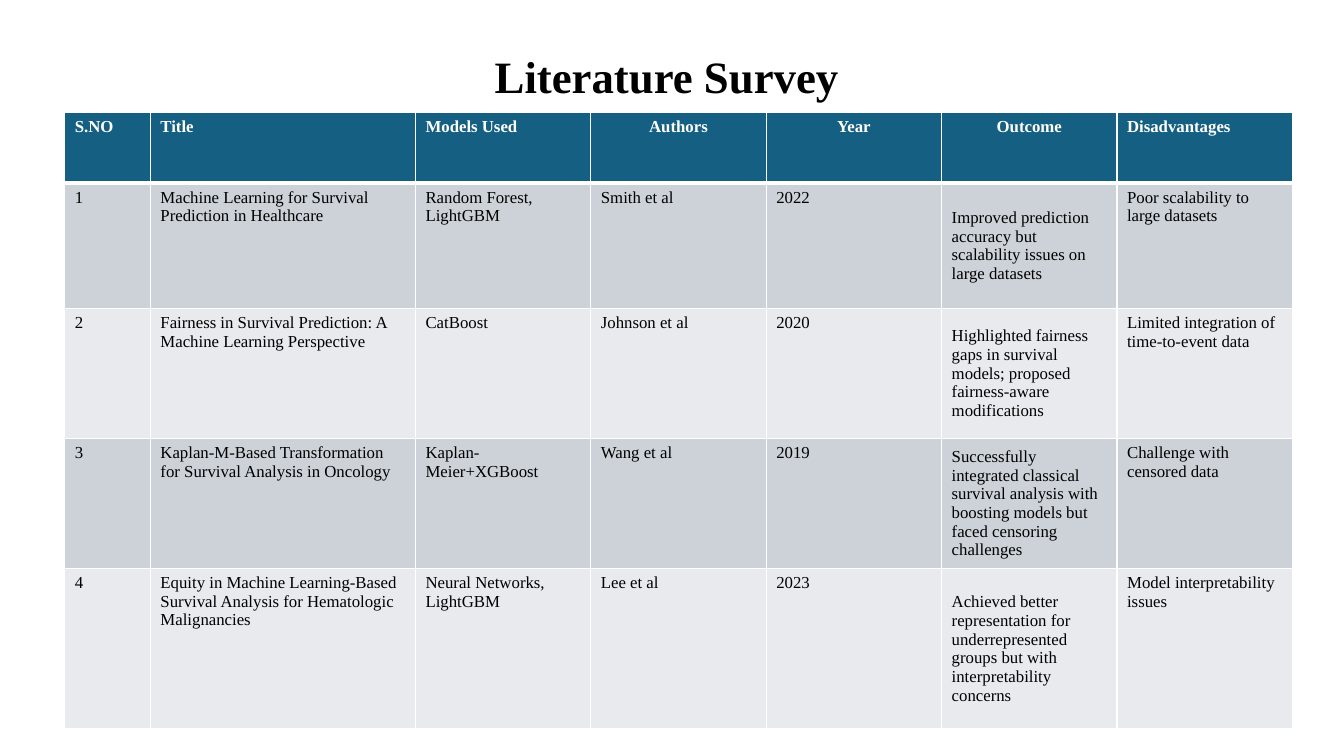
from dataclasses import dataclass

from lxml.etree import SubElement
from pptx import Presentation
from pptx.dml.color import RGBColor as Rgb
from pptx.enum.text import MSO_ANCHOR as Anchor, MSO_AUTO_SIZE as Fit, PP_ALIGN as Align
from pptx.oxml.ns import qn
from pptx.slide import Slide
from pptx.table import _Cell as Cell
from pptx.text.text import _Paragraph as Para
from pptx.util import Cm, Pt


@dataclass(frozen=True)
class Theme:
    face: str = "Times New Roman"
    ink: str = "000000"
    paper: str = "FFFFFF"
    head: str = "156082"
    bands: tuple[str, str] = ("CCD2D8", "E8EAED")
    title: int = 32
    body: int = 12


@dataclass(frozen=True)
class Field:
    name: str
    width: float
    align: Align = Align.LEFT
    anchor: Anchor = Anchor.TOP


@dataclass(frozen=True)
class Study:
    height: float
    title: str
    models: str
    authors: str
    year: str
    outcome: str
    flaw: str

    def texts(self, num: int) -> list[str]:
        return [str(num), self.title, self.models, self.authors,
                self.year, self.outcome, self.flaw]


THEME = Theme()
HEAD_HEIGHT = 1.78
EVEN = 4.42

FIELDS = [
    Field("S.NO", 2.16),
    Field("Title", 6.68),
    Field("Models Used", EVEN),
    Field("Authors", EVEN, Align.CENTER),
    Field("Year", EVEN, Align.CENTER),
    Field("Outcome", EVEN, Align.CENTER, Anchor.MIDDLE),
    Field("Disadvantages", EVEN),
]

STUDIES = [
    Study(3.15, "Machine Learning for Survival Prediction in Healthcare",
          "Random Forest, LightGBM", "Smith et al", "2022",
          "Improved prediction accuracy but scalability issues on large datasets",
          "Poor scalability to large datasets"),
    Study(3.28, "Fairness in Survival Prediction: A Machine Learning Perspective",
          "CatBoost", "Johnson et al", "2020",
          "Highlighted fairness gaps in survival models; proposed fairness-aware modifications",
          "Limited integration of time-to-event data"),
    Study(3.28, "Kaplan-M-Based Transformation for Survival Analysis in Oncology",
          "Kaplan-Meier+XGBoost", "Wang et al", "2019",
          "Successfully integrated classical survival analysis with boosting models "
          "but faced censoring challenges",
          "Challenge with censored data"),
    Study(4.04, "Equity in Machine Learning-Based Survival Analysis for Hematologic Malignancies",
          "Neural Networks, LightGBM", "Lee et al", "2023",
          "Achieved better representation for underrepresented groups "
          "but with interpretability concerns",
          "Model interpretability issues"),
]


def write(para: Para, text: str, size: int, color: str, bold: bool, align: Align) -> None:
    run = para.add_run()
    run.text = text
    para.alignment = align
    look = {"name": THEME.face, "size": Pt(size), "bold": bold}
    for key, value in look.items():
        setattr(run.font, key, value)
    run.font.color.rgb = Rgb.from_string(color)


def border(cell: Cell, top: int, bottom: int) -> None:
    """Line the four sides; top and bottom widths are in points."""
    props = cell._tc.get_or_add_tcPr()
    for side, width in {"L": 1, "R": 1, "T": top, "B": bottom}.items():
        line = SubElement(props, qn(f"a:ln{side}"), w=str(Pt(width)))
        fill = SubElement(line, qn("a:solidFill"))
        SubElement(fill, qn("a:srgbClr"), val=THEME.paper)


def paint(cell: Cell, color: str) -> None:
    cell.fill.solid()
    cell.fill.fore_color.rgb = Rgb.from_string(color)


def add_title(slide: Slide, text: str) -> None:
    title = slide.shapes.title
    place = {"left": 2.34, "top": 0.69, "width": 29.21, "height": 2.62}
    for key, value in place.items():
        setattr(title, key, Cm(value))
    frame = title.text_frame
    frame.auto_size = Fit.NONE
    frame.vertical_anchor = Anchor.MIDDLE
    para = frame.paragraphs[0]
    para.line_spacing = 0.9
    write(para, text, THEME.title, THEME.ink, True, Align.CENTER)


def add_survey(slide: Slide) -> None:
    heights = [HEAD_HEIGHT] + [study.height for study in STUDIES]
    widths = [field.width for field in FIELDS]
    table = slide.shapes.add_table(
        len(heights), len(widths), Cm(1.63), Cm(2.84),
        Cm(sum(widths)), Cm(sum(heights))).table
    for col, width in zip(table.columns, widths):
        col.width = Cm(width)
    for row, height in zip(table.rows, heights):
        row.height = Cm(height)

    for col, field in enumerate(FIELDS):
        cell = table.cell(0, col)
        border(cell, 1, 3)
        paint(cell, THEME.head)
        write(cell.text_frame.paragraphs[0], field.name, THEME.body,
              THEME.paper, True, field.align)

    for num, study in enumerate(STUDIES, 1):
        for col, text in enumerate(study.texts(num)):
            cell = table.cell(num, col)
            border(cell, 3 if num == 1 else 1, 1)
            paint(cell, THEME.bands[(num - 1) % 2])
            cell.vertical_anchor = FIELDS[col].anchor
            write(cell.text_frame.paragraphs[0], text, THEME.body,
                  THEME.ink, False, Align.LEFT)


def main() -> None:
    deck = Presentation()
    deck.slide_width, deck.slide_height = Cm(33.87), Cm(19.05)
    slide = deck.slides.add_slide(deck.slide_layouts.get_by_name("Title Only"))
    add_title(slide, "Literature Survey ")
    add_survey(slide)
    deck.save("out.pptx")


if __name__ == "__main__":
    main()
